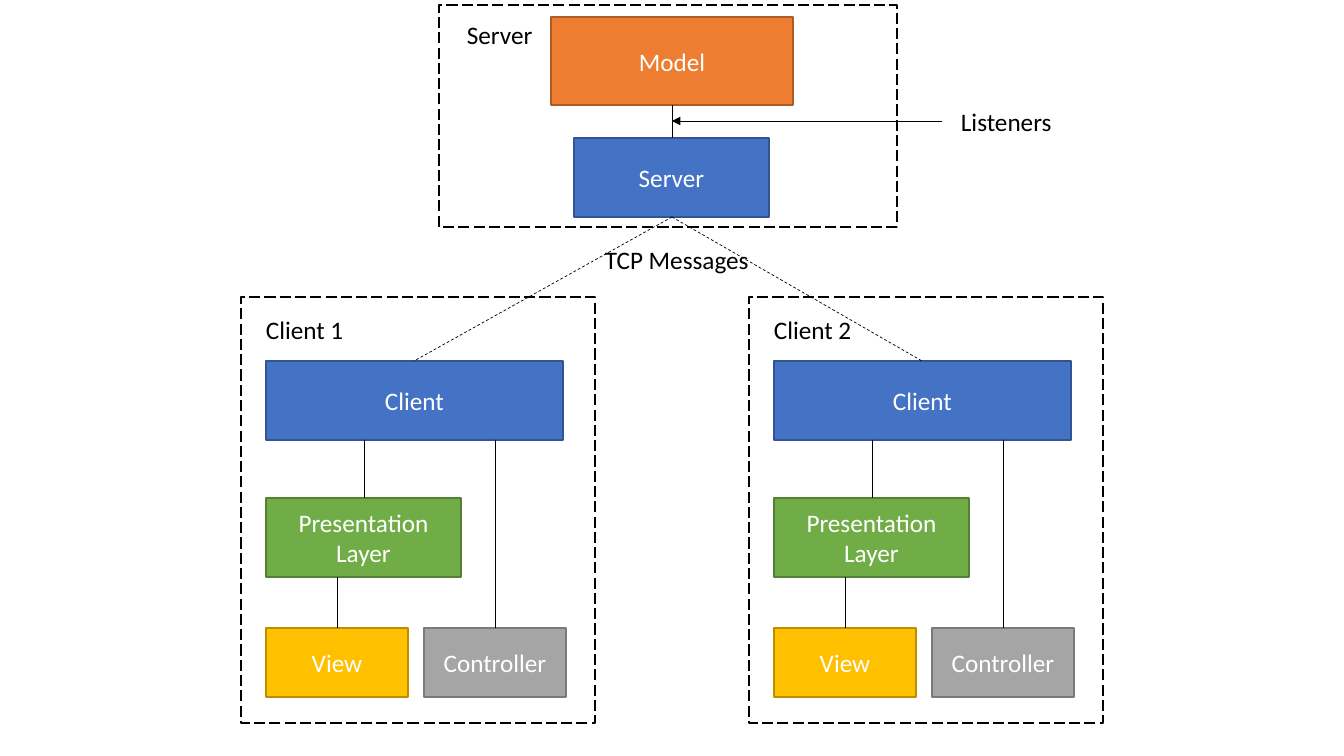
from pptx import Presentation
from pptx import util as u
from pptx.dml.color import RGBColor
from pptx.enum import dml, shapes, text
from pptx.oxml.ns import qn
from lxml import etree

SCALE = 914400 / 100.8
THEME = {
    "font": "Calibri", "size": 18, "ink": "000000", "light": "FFFFFF",
    "orange": ("ED7D31", "AF5C24"), "blue": ("4472C4", "325491"),
    "green": ("70AD47", "538035"), "gold": ("FFC000", "BD8E00"),
    "grey": ("A5A5A5", "7A7A7A"),
}


def emu(*pixels):
    return [u.Emu(round(value * SCALE)) for value in pixels]


def add_line(start, end, dash=None, arrow=False):
    line = slide.shapes.add_connector(shapes.MSO_CONNECTOR.STRAIGHT, *emu(*start, *end))
    line.line.color.rgb = RGBColor.from_string(THEME["ink"])
    line.line.width = u.Pt(0.5)
    if dash:
        line.line.dash_style = dash
    properties = line._element.spPr
    if arrow:
        etree.SubElement(properties.find(qn("a:ln")), qn("a:tailEnd"), type="triangle")
    etree.SubElement(properties, qn("a:effectLst"))


presentation = Presentation()
presentation.slide_width, presentation.slide_height = emu(1344, 756)
slide = presentation.slides.add_slide(presentation.slide_layouts[6])

server_x = 672
client_step = 508
boxes = [
    ("Model", "orange", 551, 17, 242, 88),
    ("Server", "blue", 574, 138, 195, 79),
]
frames = [(439, 5, 458, 222)]
labels = [
    ("Server", 457, 14, 93),
    ("TCP Messages", 595, 239, 172),
    ("Listeners", 951, 101, 121),
]
lines = [((server_x, 105), (server_x, 138))]
for number in (1, 2):
    shift = (number - 1) * client_step
    left = 266 + shift
    boxes += [
        ("Client", "blue", left, 361, 297, 79),
        ("Presentation Layer", "green", left, 498, 195, 79),
        ("View", "gold", left, 628, 142, 69),
        ("Controller", "grey", left + 158, 628, 142, 69),
    ]
    frames.append((241 + shift, 297, 354, 426))
    labels.append((f"Client {number}", 256 + shift, 309, 103))
    for x, top, bottom in ((364, 440, 498), (337, 577, 628), (495, 440, 628)):
        lines.append(((x + shift, top), (x + shift, bottom)))

for name, color, *bounds in boxes:
    fill, outline = THEME[color]
    box = slide.shapes.add_shape(shapes.MSO_SHAPE.RECTANGLE, *emu(*bounds))
    box.shadow.inherit = False
    box.fill.solid()
    box.fill.fore_color.rgb = RGBColor.from_string(fill)
    box.line.color.rgb = RGBColor.from_string(outline)
    box.line.width = u.Pt(1)
    box.text_frame.text = name
    box.text_frame.word_wrap = True
    box.text_frame.vertical_anchor = text.MSO_ANCHOR.MIDDLE
    paragraph = box.text_frame.paragraphs[0]
    paragraph.alignment = text.PP_ALIGN.CENTER
    paragraph.font.name = THEME["font"]
    paragraph.font.size = u.Pt(THEME["size"])
    paragraph.font.color.rgb = RGBColor.from_string(THEME["light"])

for start, end in lines:
    add_line(start, end)
for client_x in (414, 922):
    add_line((server_x, 217), (client_x, 361), dash=dml.MSO_LINE.DASH)
add_line((942, 121), (server_x, 121), arrow=True)

for bounds in frames:
    frame = slide.shapes.add_shape(shapes.MSO_SHAPE.RECTANGLE, *emu(*bounds))
    frame.shadow.inherit = False
    frame.fill.background()
    frame.line.color.rgb = RGBColor.from_string(THEME["ink"])
    frame.line.width = u.Pt(1)
    frame.line.dash_style = dml.MSO_LINE.LONG_DASH

for name, left, top, width in labels:
    label = slide.shapes.add_textbox(*emu(left, top, width, 40))
    label.text_frame.text = name
    label.text_frame.word_wrap = True
    label.text_frame.auto_size = text.MSO_AUTO_SIZE.SHAPE_TO_FIT_TEXT
    paragraph = label.text_frame.paragraphs[0]
    paragraph.font.name = THEME["font"]
    paragraph.font.size = u.Pt(THEME["size"])
    paragraph.font.color.rgb = RGBColor.from_string(THEME["ink"])

presentation.save("out.pptx")
